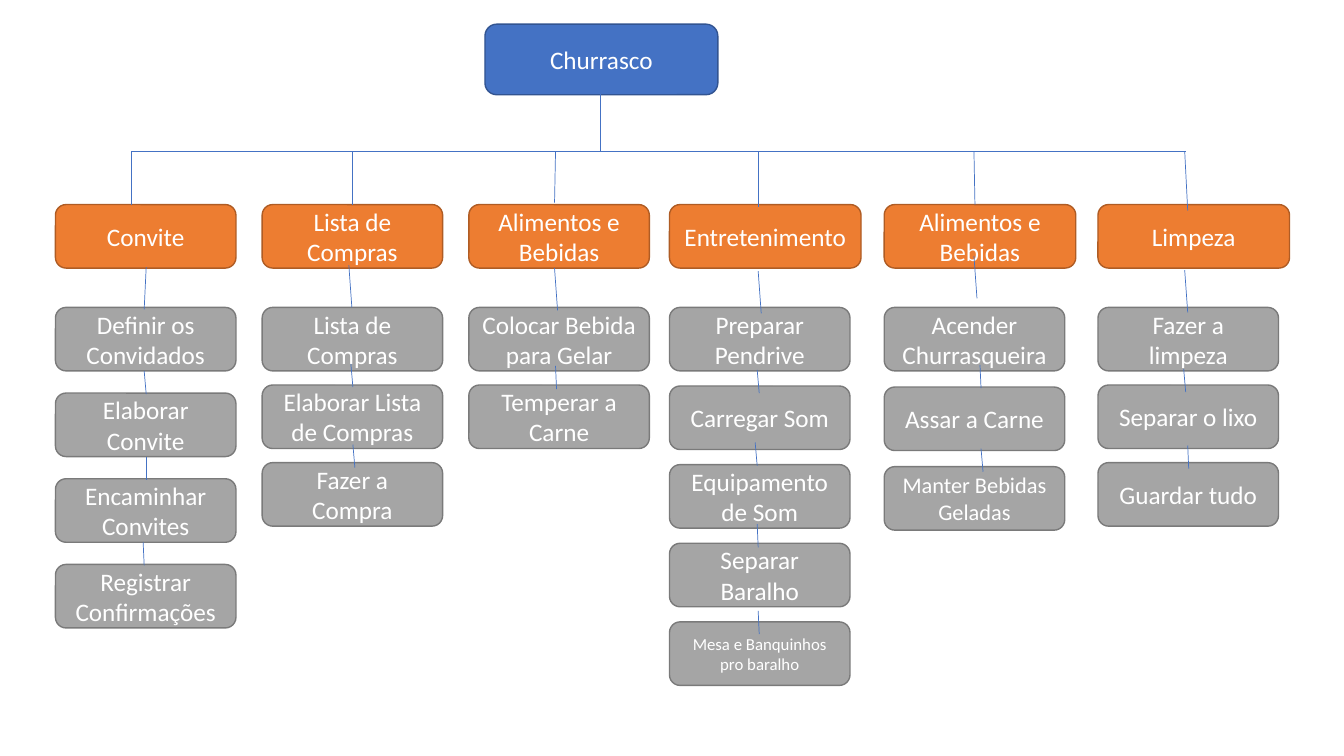
from pptx import Presentation
from pptx.dml.color import RGBColor
from pptx.enum.shapes import MSO_CONNECTOR as Conn, MSO_SHAPE as Shape
from pptx.enum.text import MSO_ANCHOR as Anchor, PP_ALIGN as Align
from pptx.oxml.ns import qn
from pptx.util import Inches, Pt
from lxml.etree import SubElement

BLUE, NAVY = RGBColor(0x44, 0x72, 0xC4), RGBColor(0x32, 0x54, 0x91)
ORANGE, RUST = RGBColor(0xED, 0x7D, 0x31), RGBColor(0xAF, 0x5C, 0x24)
GRAY, SLATE = RGBColor(0xA5, 0xA5, 0xA5), RGBColor(0x7A, 0x7A, 0x7A)
WHITE = RGBColor(0xFF, 0xFF, 0xFF)

ROOT = "Churrasco"
SMALL = {"Manter Bebidas Geladas": 16, "Mesa e Banquinhos pro baralho": 12}

# Each branch: head, left, head width, task pitch, drop (x1, x2, end y),
# then its tasks with the link above each: (text, x1, x2, start y)
BRANCHES = [
    ("Convite", 0.55, 1.79, 0.85, (1.3, 1.3, 2.03), [
        ("Definir os Convidados", 1.45, 1.43, 2.65),
        ("Elaborar Convite", 1.43, 1.45, 3.68),
        ("Encaminhar Convites", 1.45, 1.45, 4.53),
        ("Registrar Confirmações", 1.42, 1.43, 5.38)]),
    ("Lista de Compras", 2.6, 1.79, 0.77, (3.49, 3.49, 2.03), [
        ("Lista de Compras", 3.46, 3.49, 2.63),
        ("Elaborar Lista de Compras", 3.48, 3.5, 3.61),
        ("Fazer a Compra", 3.5, 3.52, 4.41)]),
    ("Alimentos e Bebidas", 4.65, 1.79, 0.77, (5.51, 5.5, 2.01), [
        ("Colocar Bebida para Gelar", 5.5, 5.53, 2.66),
        ("Temperar a Carne", 5.51, 5.52, 3.63)]),
    ("Entretenimento", 6.64, 1.9, 0.78, (7.52, 7.52, 2.05), [
        ("Preparar Pendrive", 7.52, 7.55, 2.69),
        ("Carregar Som", 7.51, 7.53, 3.67),
        ("Equipamento de Som", 7.49, 7.51, 4.39),
        ("Separar Baralho", 7.51, 7.52, 5.2),
        ("Mesa e Banquinhos pro baralho", 7.52, 7.53, 6.06)]),
    ("Alimentos e Bebidas", 8.77, 1.9, 0.79, (9.66, 9.67, 2.03), [
        ("Acender Churrasqueira", 9.66, 9.69, 2.54),
        ("Assar a Carne", 9.72, 9.73, 3.62),
        ("Manter Bebidas Geladas", 9.73, 9.75, 4.45)]),
    ("Limpeza", 10.89, 1.9, 0.77, (11.75, 11.78, 2.09), [
        ("Fazer a limpeza", 11.75, 11.78, 2.68),
        ("Separar o lixo", 11.74, 11.76, 3.66),
        ("Guardar tudo", 11.78, 11.79, 4.42)]),
]
HEAD_TOP, TASK_TOP, BUS = 2.03, 3.05, 1.5
TASK_WIDE, HIGH = 1.79, 0.63
LONG, SHORT = 0.42, 0.23


def add_box(slide, text, left, top, wide, high, fill, edge):
    """Add a rounded box with centred white text."""
    box = slide.shapes.add_shape(Shape.ROUNDED_RECTANGLE, Inches(left),
                                 Inches(top), Inches(wide), Inches(high))
    box.shadow.inherit = False
    box.fill.solid()
    box.fill.fore_color.rgb = fill
    box.line.color.rgb = edge
    box.line.width = Pt(1)
    frame = box.text_frame
    frame.word_wrap = True
    frame.vertical_anchor = Anchor.MIDDLE
    para = frame.paragraphs[0]
    para.text = text
    para.alignment = Align.CENTER
    para.font.name = "Calibri"
    para.font.size = Pt(SMALL.get(text, 18))
    para.font.color.rgb = WHITE


def add_line(slide, x1, y1, x2, y2):
    """Add a thin blue line without shadow."""
    line = slide.shapes.add_connector(Conn.STRAIGHT, Inches(x1), Inches(y1),
                                      Inches(x2), Inches(y2))
    line.line.color.rgb = BLUE
    line.line.width = Pt(0.5)
    SubElement(line._element.spPr, qn("a:effectLst"))


deck = Presentation()
deck.slide_width, deck.slide_height = Inches(13.33), Inches(7.5)
slide = deck.slides.add_slide(deck.slide_layouts[6])

add_box(slide, ROOT, 4.81, 0.24, 2.31, 0.7, BLUE, NAVY)
for head, left, wide, pitch, drop, tasks in BRANCHES:
    add_box(slide, head, left, HEAD_TOP, wide, HIGH, ORANGE, RUST)
    for row, (text, *link) in enumerate(tasks):
        add_box(slide, text, left, TASK_TOP + row * pitch,
                TASK_WIDE, HIGH, GRAY, SLATE)

add_line(slide, 5.95, 0.93, 5.95, BUS)
add_line(slide, 1.3, BUS, 11.76, BUS)
for head, left, wide, pitch, (x1, x2, end), tasks in BRANCHES:
    add_line(slide, x1, BUS, x2, end)
    for row, (text, x1, x2, top) in enumerate(tasks):
        add_line(slide, x1, top, x2, top + (SHORT if row else LONG))

deck.save("out.pptx")
